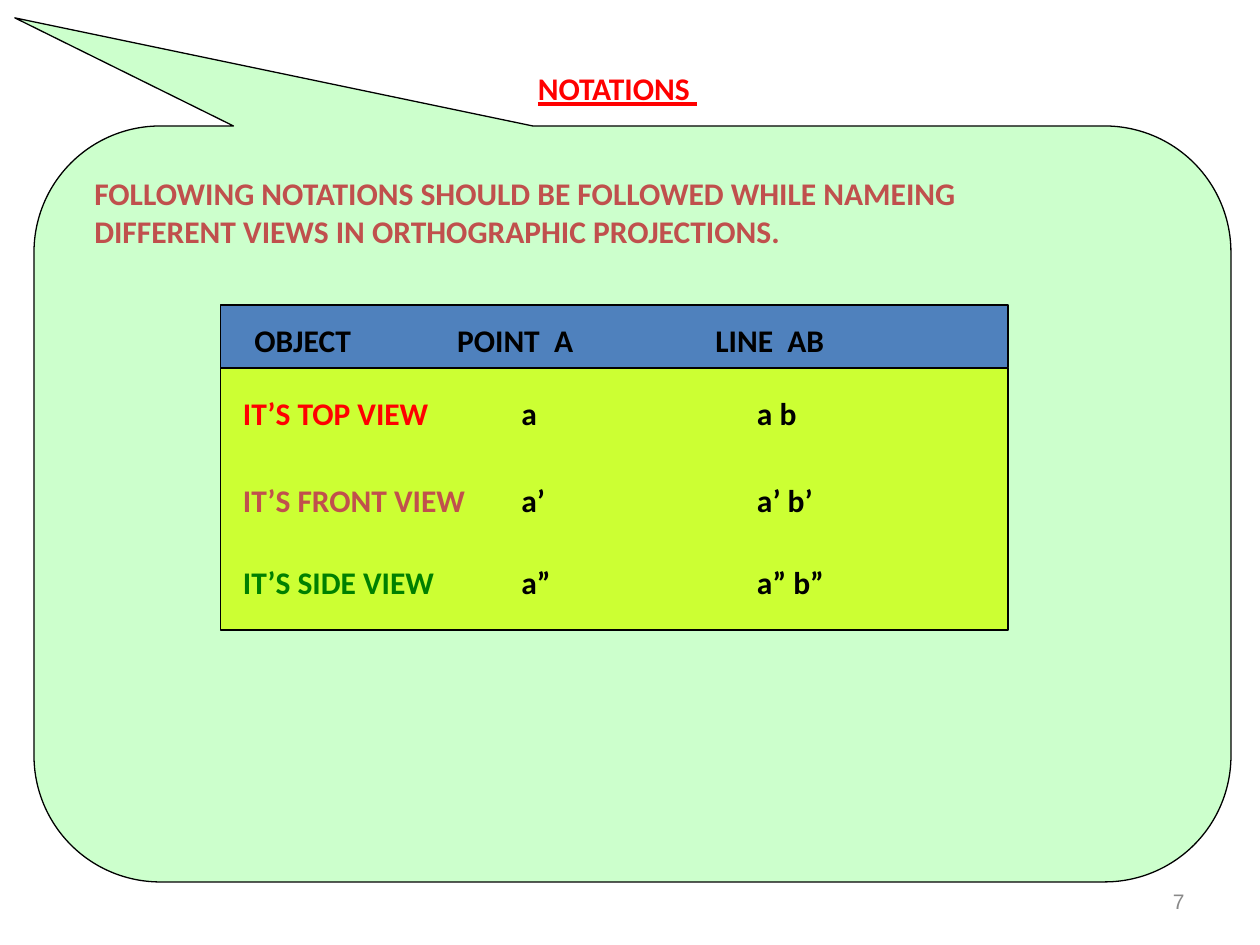
from lxml import etree
from pptx import Presentation
from pptx import util as u
from pptx.dml.color import RGBColor
from pptx.enum import shapes, text
from pptx.oxml import ns

PANELS = [
    ("ROUNDED_RECTANGULAR_CALLOUT", (0.27, 1, 9.5, 6), "CCFFCC", (-0.516, -0.643, 0.167)),
    ("RECTANGLE", (1.75, 2.92, 6.25, 2.08), "CCFF33", ()),
    ("RECTANGLE", (1.75, 2.42, 6.25, 0.5), "4F81BD", ()),
]
TITLE = "NOTATIONS "
RULE = [
    "FOLLOWING NOTATIONS SHOULD BE FOLLOWED WHILE NAMEING",
    "DIFFERENT VIEWS IN ORTHOGRAPHIC PROJECTIONS.",
]
HEADER = ("OBJECT", "POINT  A", "LINE  AB")
VIEWS = [
    (3.08, "FF0000", ("IT’S TOP VIEW", "a", "a b")),
    (3.77, "C0504D", ("IT’S FRONT VIEW", "a’", "a’ b’")),
    (4.42, "008000", ("IT’S SIDE VIEW", "a”", "a” b”")),
]
HEADER_TABS = (1.61, 3.66)
VIEW_TABS = (2.21, 4.08)
BOLD = {"name": "Calibri", "size": u.Pt(18), "bold": True}


def rgb(value):
    return RGBColor.from_string(value)


def add_panel(slide, kind, box, fill, adjustments):
    shape = slide.shapes.add_shape(getattr(shapes.MSO_SHAPE, kind), *map(u.Inches, box))
    shape.shadow.inherit = False
    shape.fill.solid()
    shape.fill.fore_color.rgb = rgb(fill)
    shape.line.color.rgb = rgb("000000")
    shape.line.width = u.Pt(0.75)
    for index, value in enumerate(adjustments):
        shape.adjustments[index] = value


def add_tabs(paragraph, stops):
    tab_list = etree.SubElement(paragraph._p.get_or_add_pPr(), ns.qn("a:tabLst"))
    for stop in stops:
        etree.SubElement(tab_list, ns.qn("a:tab"), pos=str(u.Inches(stop)), algn="l")


def add_text(slide, box, lines, font, tabs=()):
    frame = slide.shapes.add_textbox(*map(u.Inches, box)).text_frame
    frame.word_wrap = True
    for index, runs in enumerate(lines):
        paragraph = frame.add_paragraph() if index else frame.paragraphs[0]
        if tabs:
            add_tabs(paragraph, tabs)
        for content, color in runs:
            run = paragraph.add_run()
            run.text = content
            for name, value in font.items():
                setattr(run.font, name, value)
            run.font.color.rgb = rgb(color)
    return frame


def main():
    presentation = Presentation()
    presentation.slide_width, presentation.slide_height = u.Inches(10), u.Inches(7.5)
    slide = presentation.slides.add_slide(presentation.slide_layouts[6])

    number = add_text(slide, (7.17, 6.95, 2.33, 0.4), [[("7", "898989")]],
                      {"name": "Arial", "size": u.Pt(12)})
    number.vertical_anchor = text.MSO_ANCHOR.MIDDLE
    number.paragraphs[0].alignment = text.PP_ALIGN.RIGHT

    for panel in PANELS:
        add_panel(slide, *panel)

    add_text(slide, (4.17, 0.5, 1.74, 0.7), [[(TITLE, "FF0000")]], {**BOLD, "underline": True})
    add_text(slide, (0.65, 1.33, 8.44, 0.7), [[(line, "C0504D")] for line in RULE], BOLD)
    add_text(slide, (1.92, 2.5, 5.8, 0.4), [[("\t".join(HEADER), "000000")]], BOLD, HEADER_TABS)
    for top, color, (view, point, line) in VIEWS:
        runs = [(view, color), (f"\t{point}\t{line}", "000000")]
        add_text(slide, (1.83, top, 6.17, 0.4), [runs], BOLD, VIEW_TABS)

    presentation.save("out.pptx")


if __name__ == "__main__":
    main()
